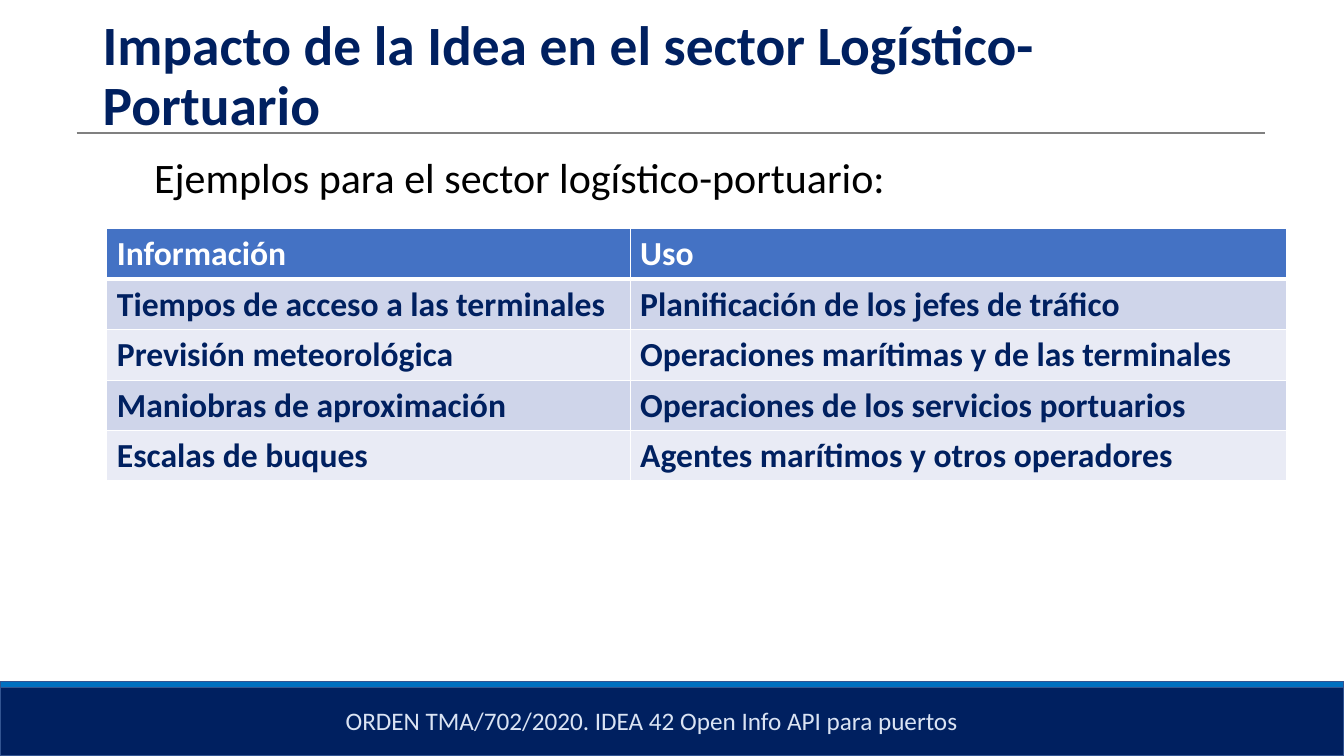
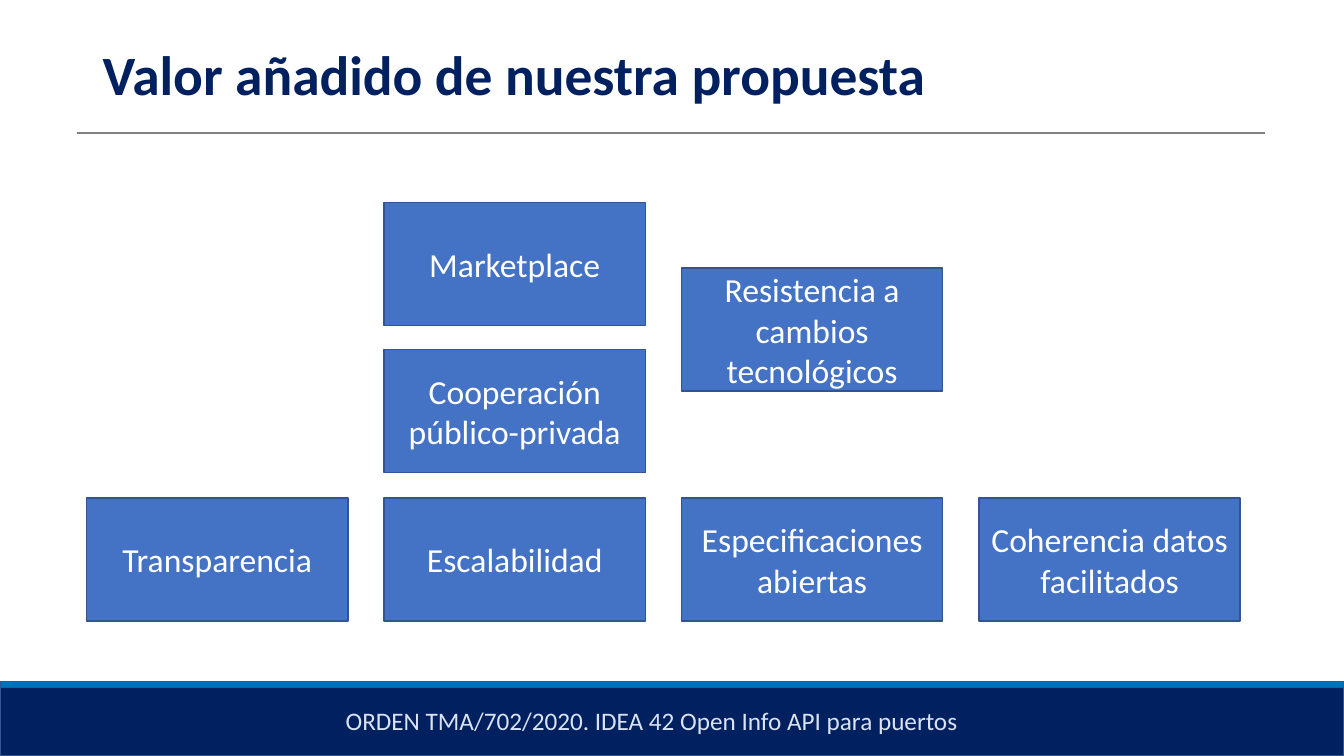
from dataclasses import dataclass

from lxml import etree
from pptx import Presentation
from pptx.dml.color import RGBColor
from pptx.enum import shapes, text
from pptx.oxml import ns
from pptx.util import Inches, Pt


@dataclass(frozen=True)
class Theme:
    font: str = "Calibri"
    navy: str = "002060"
    blue: str = "0070C0"
    accent: str = "4472C4"
    outline: str = "325491"
    rule: str = "808080"
    footer: str = "DAE3F3"
    white: str = "FFFFFF"
    black: str = "000000"
    bands: tuple = ("CFD5EA", "E9EBF5")
    title_size: float = 39.6
    lead_size: float = 30
    body_size: float = 24
    footer_size: float = 18


THEME = Theme()
SLIDE_WIDTH, SLIDE_HEIGHT = 13.33, 7.5
FOOTER = "ORDEN TMA/702/2020. IDEA 42 Open Info API para puertos"

USES = [
    ("Información", "Uso"),
    ("Tiempos de acceso a las terminales", "Planificación de los jefes de tráfico"),
    ("Previsión meteorológica", "Operaciones marítimas y de las terminales"),
    ("Maniobras de aproximación", "Operaciones de los servicios portuarios"),
    ("Escalas de buques", "Agentes marítimos y otros operadores"),
]

# Column number, top and label of each value box
BASE_TOP = 4.94
VALUES = [
    (0, BASE_TOP, "Transparencia"),
    (1, BASE_TOP, "Escalabilidad"),
    (2, BASE_TOP, "Especificaciones abiertas"),
    (3, BASE_TOP, "Coherencia datos facilitados"),
    (1, 3.47, "Cooperación público-privada"),
    (1, 2.01, "Marketplace"),
    (2, 2.66, "Resistencia a cambios tecnológicos"),
]


def rgb(value):
    return RGBColor.from_string(value)


# Text
def write(frame, words, size, color, bold=False):
    frame.word_wrap = True
    paragraph = frame.paragraphs[0]
    run = paragraph.add_run()
    run.text = words
    run.font.name = THEME.font
    run.font.size = Pt(size)
    run.font.bold = bold
    run.font.color.rgb = rgb(color)
    return paragraph


def add_text(slide, box, words, size, color, bold=False):
    shape = slide.shapes.add_textbox(*map(Inches, box))
    return shape.text_frame, write(shape.text_frame, words, size, color, bold)


# Shapes
def add_box(slide, box, fill):
    shape = slide.shapes.add_shape(shapes.MSO_SHAPE.RECTANGLE, *map(Inches, box))
    shape.shadow.inherit = False
    shape.fill.solid()
    shape.fill.fore_color.rgb = rgb(fill)
    shape.line.color.rgb = rgb(THEME.outline)
    shape.line.width = Pt(1)
    return shape


def add_rule(slide, left, right, top):
    line = slide.shapes.add_connector(
        shapes.MSO_CONNECTOR.STRAIGHT, *map(Inches, (left, top, right, top)))
    line.line.color.rgb = rgb(THEME.rule)
    line.line.width = Pt(2)
    etree.SubElement(line.element.spPr, ns.qn("a:effectLst"))


def add_value(slide, column, top, label):
    width, pitch = 2.59, 2.95
    shape = add_box(slide, (0.86 + column * pitch, top, width, 1.22), THEME.accent)
    shape.text_frame.vertical_anchor = text.MSO_ANCHOR.MIDDLE
    paragraph = write(shape.text_frame, label, THEME.body_size, THEME.white)
    paragraph.alignment = text.PP_ALIGN.CENTER


# Table
def set_borders(cell, **widths):
    properties = cell._tc.get_or_add_tcPr()
    for side in "LRTB":
        line = etree.SubElement(properties, ns.qn(f"a:ln{side}"),
                                w=str(Pt(widths.get(side, 1))))
        fill = etree.SubElement(line, ns.qn("a:solidFill"))
        etree.SubElement(fill, ns.qn("a:srgbClr"), val=THEME.white)


def add_table(slide, left, top, column_widths, row_height, rows):
    size = (sum(column_widths), row_height * len(rows))
    table = slide.shapes.add_table(
        len(rows), len(column_widths), *map(Inches, (left, top, *size))).table
    for column, width in zip(table.columns, column_widths):
        column.width = Inches(width)
    for index, labels in enumerate(rows):
        header = index == 0
        fill = THEME.accent if header else THEME.bands[(index - 1) % 2]
        color = THEME.white if header else THEME.navy
        for cell, label in zip(table.rows[index].cells, labels):
            set_borders(cell, T=3 if index == 1 else 1, B=3 if header else 1)
            cell.fill.solid()
            cell.fill.fore_color.rgb = rgb(fill)
            write(cell.text_frame, label, THEME.body_size, color, bold=True)


# Parts shared by all slides
def add_slide(presentation, title):
    slide = presentation.slides.add_slide(presentation.slide_layouts[6])
    add_rule(slide, 0.76, 12.55, 1.32)
    add_box(slide, (0, 6.82, SLIDE_WIDTH, 0.68), THEME.navy)
    add_box(slide, (0, 6.76, SLIDE_WIDTH, 0.06), THEME.blue)
    frame, paragraph = add_text(slide, (0.92, 0.4, 11.5, 0.74), title,
                                THEME.title_size, THEME.navy, bold=True)
    frame.vertical_anchor = text.MSO_ANCHOR.MIDDLE
    paragraph.line_spacing = 0.9
    add_text(slide, (3.33, 6.95, 6.67, 0.4), FOOTER, THEME.footer_size, THEME.footer)
    return slide


# Slides
def build_impact(presentation):
    slide = add_slide(presentation,
                      "Impacto de la Idea en el sector Logístico-Portuario")
    frame, paragraph = add_text(slide, (1.18, 1.51, 11.23, 3),
                                "Ejemplos para el sector logístico-portuario:",
                                THEME.lead_size, THEME.black)
    frame.margin_left = Inches(0.35)
    paragraph.line_spacing = 0.9
    paragraph.space_before = Pt(10)
    add_table(slide, 1.06, 2.27, (5.19, 6.51), 0.5, USES)


def build_values(presentation):
    slide = add_slide(presentation, "Valor añadido de nuestra propuesta")
    for column, top, label in VALUES:
        add_value(slide, column, top, label)


def main():
    presentation = Presentation()
    presentation.slide_width = Inches(SLIDE_WIDTH)
    presentation.slide_height = Inches(SLIDE_HEIGHT)
    build_impact(presentation)
    build_values(presentation)
    presentation.save("out.pptx")


main()
